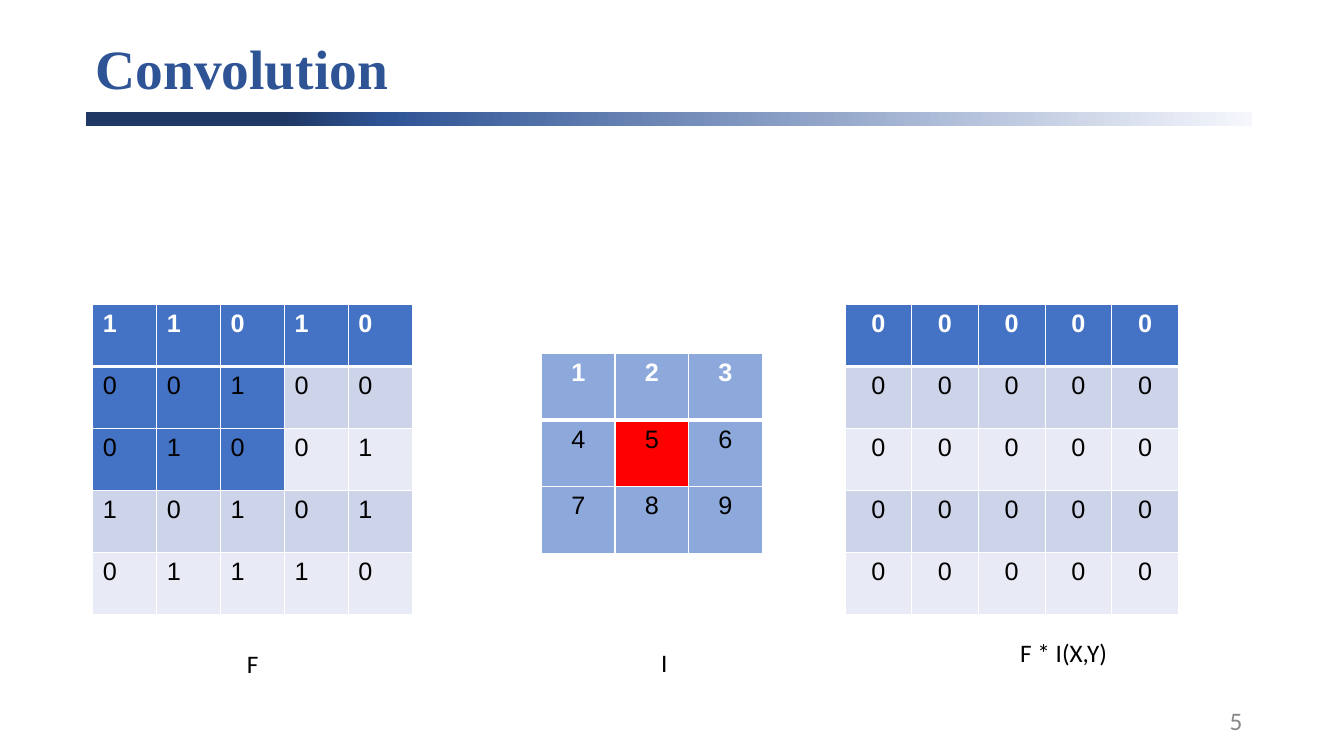
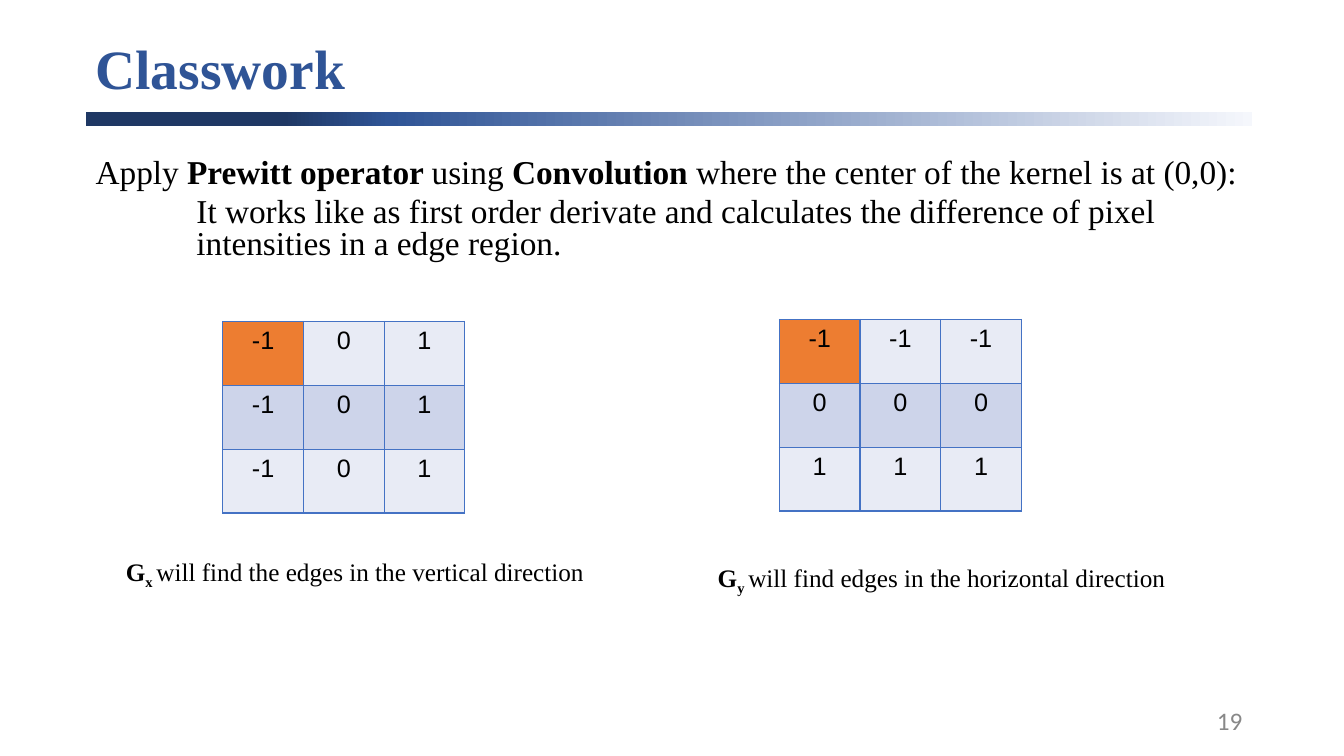
from lxml import etree
from pptx import Presentation
from pptx.dml.color import RGBColor
from pptx.enum.shapes import MSO_SHAPE as Shape
from pptx.enum.text import MSO_ANCHOR as Anchor, PP_ALIGN as Align
from pptx.oxml import parse_xml
from pptx.oxml.ns import nsdecls, qn
from pptx.util import Inches, Pt

BLACK = RGBColor(0x00, 0x00, 0x00)
WHITE = RGBColor(0xFF, 0xFF, 0xFF)
GREY = RGBColor(0x88, 0x88, 0x88)
NAVY = RGBColor(0x1F, 0x38, 0x64)
DEEP = RGBColor(0x2F, 0x54, 0x96)
BLUE = RGBColor(0x44, 0x72, 0xC4)
SKY = RGBColor(0x8D, 0xA9, 0xDB)
MIST = RGBColor(0xCD, 0xD4, 0xEA)
PALE = RGBColor(0xE8, 0xEB, 0xF5)
SNOW = RGBColor(0xF5, 0xF7, 0xFC)
RED = RGBColor(0xFF, 0x00, 0x00)
ORANGE = RGBColor(0xED, 0x7D, 0x31)

SERIF = "Times New Roman"
SANS = "Calibri"
FADE = [(0, NAVY), (17, NAVY), (26, DEEP), (100, SNOW)]
FILLS = {"B": BLUE, "S": SKY, "M": MIST, "P": PALE, "R": RED, "O": ORANGE}


def add_text(slide, box, paras, font=SANS, size=18, color=BLACK):
    """Add a text box; each paragraph is a list of (text, style) runs.

    Style holds "b" for bold and "s" for subscript.
    """
    frame = slide.shapes.add_textbox(*map(Inches, box)).text_frame
    frame.word_wrap = True
    for i, runs in enumerate(paras):
        para = frame.add_paragraph() if i else frame.paragraphs[0]
        for text, style in runs:
            run = para.add_run()
            run.text = text
            run.font.name = font
            run.font.size = Pt(size)
            run.font.bold = "b" in style
            run.font.color.rgb = color
            if "s" in style:
                run._r.get_or_add_rPr().set("baseline", "-25000")
    return frame


def add_grid(slide, box, rows, fills, line, head=False, align=Align.CENTER):
    """Add a table of numbers; fills holds one FILLS key per cell."""
    rows = [row.split() for row in rows]
    fills = fills.split()
    left, top, width, height = map(Inches, box)
    table = slide.shapes.add_table(
        len(rows), len(rows[0]), left, top, width, height).table
    table.first_row = table.horz_banding = False
    for r, row in enumerate(rows):
        for c, value in enumerate(row):
            cell = table.cell(r, c)
            props = cell._tc.get_or_add_tcPr()
            for side in "LRTB":
                thick = head and (r, side) in [(0, "B"), (1, "T")]
                edge = etree.SubElement(
                    props, qn(f"a:ln{side}"), w=str(Pt(3 if thick else 1)))
                solid = etree.SubElement(edge, qn("a:solidFill"))
                etree.SubElement(solid, qn("a:srgbClr"), val=str(line))
            cell.fill.solid()
            cell.fill.fore_color.rgb = FILLS[fills[r][c]]
            para = cell.text_frame.paragraphs[0]
            para.alignment = align
            run = para.add_run()
            run.text = value
            run.font.name = "Arial"
            run.font.size = Pt(18)
            run.font.bold = head and r == 0
            run.font.color.rgb = WHITE if head and r == 0 else BLACK


deck = Presentation()
deck.slide_width = Inches(13.33)
deck.slide_height = Inches(7.5)

# Title, band and page number
slides = []
for title, page in [("Convolution", "5"), ("Classwork", "19")]:
    slide = deck.slides.add_slide(deck.slide_layouts[6])
    slides.append(slide)
    band = slide.shapes.add_shape(
        Shape.RECTANGLE, *map(Inches, (0.85, 1.11, 11.57, 0.14)))
    band.shadow.inherit = False
    band.line.fill.background()
    band.fill.gradient()
    band.fill.gradient_angle = 0
    stops = band._element.spPr.find(qn("a:gradFill")).find(qn("a:gsLst"))
    stops.clear()
    for pos, color in FADE:
        stops.append(parse_xml(
            f'<a:gs {nsdecls("a")} pos="{pos * 1000}">'
            f'<a:srgbClr val="{color}"/></a:gs>'))
    frame = add_text(slide, (0.85, 0.36, 11.5, 0.69), [[(title, "b")]],
                     SERIF, 39.6, DEEP)
    frame.vertical_anchor = Anchor.MIDDLE
    frame.paragraphs[0].line_spacing = 0.9
    frame = add_text(slide, (9.42, 6.95, 3, 0.4), [[(page, "")]], color=GREY)
    frame.vertical_anchor = Anchor.MIDDLE
    frame.paragraphs[0].alignment = Align.RIGHT

conv, work = slides

# Convolution: image, kernel and result
add_grid(conv, (0.92, 3.02, 3.17, 3.08),
         ["1 1 0 1 0", "0 0 1 0 0", "0 1 0 0 1", "1 0 1 0 1", "0 1 1 1 0"],
         "BBBBB BBBMM BBBPP MMMMM PPPPP", WHITE, True, Align.LEFT)
add_grid(conv, (5.37, 3.51, 2.19, 1.98), ["1 2 3", "4 5 6", "7 8 9"],
         "SSS SRS SSS", WHITE, True)
add_grid(conv, (8.38, 3.02, 3.31, 3.08), ["0 0 0 0 0"] * 5,
         "BBBBB MMMMM PPPPP MMMMM PPPPP", WHITE, True)
for left, top, width, label in [(2.35, 6.38, 0.32, "F"),
                                (6.46, 6.37, 0.27, "I"),
                                (10.02, 6.27, 1.08, "F * I(X,Y)")]:
    frame = add_text(conv, (left, top, width, 0.4), [[(label, "")]])
    frame.word_wrap = False

# Classwork: task and the two Prewitt kernels
frame = add_text(work, (0.85, 1.53, 11.72, 1.18), [
    [("Apply ", ""), ("Prewitt operator ", "b"), ("using ", ""),
     ("Convolution ", "b"),
     ("where the center of the kernel is at (0,0):", "")],
    [("It works like as first order derivate and calculates the difference "
      "of pixel intensities in a edge region.", "")],
], SERIF, 23.8)
for para in frame.paragraphs:
    para.line_spacing = 0.8
detail = frame.paragraphs[1]
detail.space_before = Pt(5)
detail._p.get_or_add_pPr().set("marL", str(Inches(1)))

for left, top, rows in [(2.21, 3.19, ["-1 0 1"] * 3),
                        (7.73, 3.17, ["-1 -1 -1", "0 0 0", "1 1 1"])]:
    add_grid(work, (left, top, 2.4, 1.9), rows, "OPP MMM PPP", BLUE)
for box, axis, note in [
        ((1.15, 5.47, 5.16, 0.4), "x ",
         "will find the edges in the vertical direction"),
        ((7.02, 5.53, 4.77, 0.4), "y ",
         "will find edges in the horizontal direction")]:
    add_text(work, box, [[("G", "b"), (axis, "bs"), (note, "")]], SERIF)

deck.save("out.pptx")
